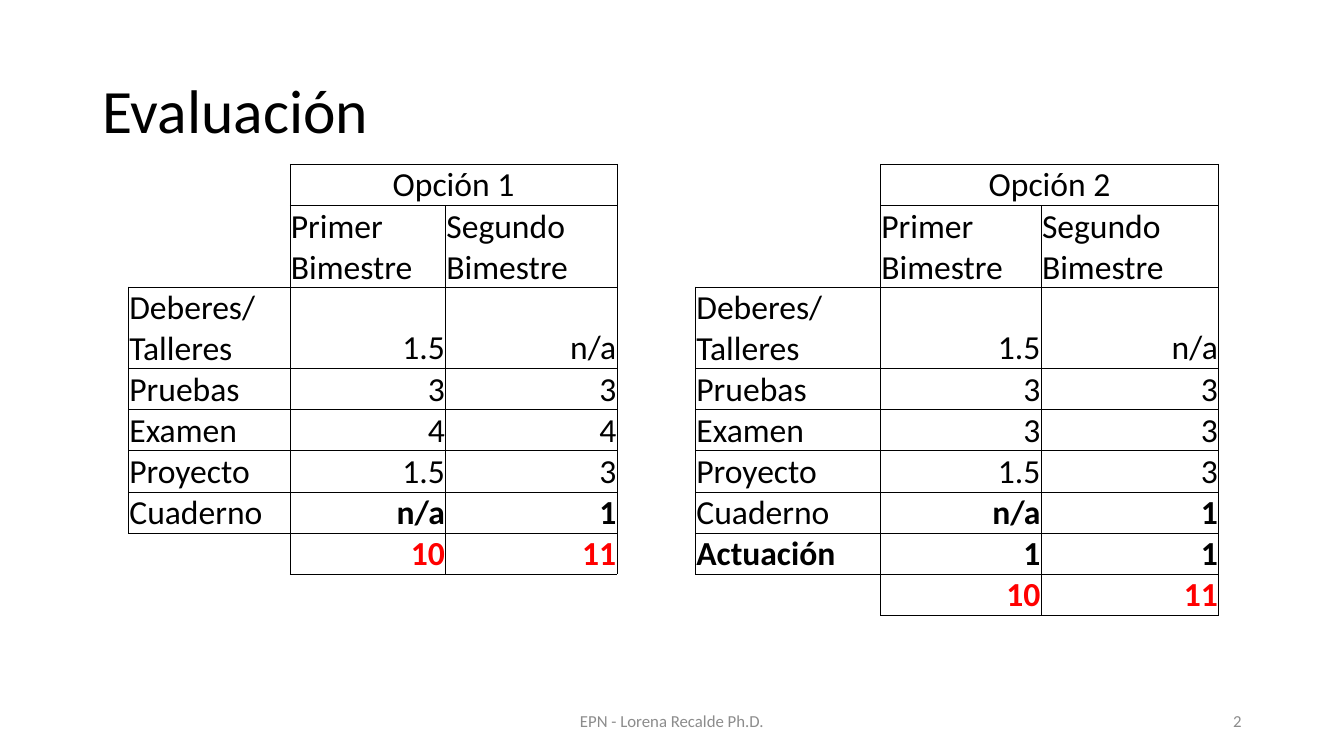
from lxml.etree import SubElement
from pptx import Presentation
from pptx.dml.color import RGBColor
from pptx.enum.text import MSO_ANCHOR, PP_ALIGN
from pptx.oxml.ns import qn
from pptx.util import Cm, Pt

FONT = "Calibri"
BLACK = RGBColor(0x00, 0x00, 0x00)
RED = RGBColor(0xFF, 0x00, 0x00)
GRAY = RGBColor(0x8C, 0x8C, 0x8C)

# text, left, top, width, height (cm), size, colour, alignment, line spacing
TEXTS = [
    ("Evaluación", 2.33, 1.01, 29.21, 3.68, 44, BLACK, PP_ALIGN.LEFT, 0.9),
    ("EPN - Lorena Recalde Ph.D.", 11.22, 17.65, 11.43, 1.01, 12, GRAY, PP_ALIGN.CENTER, 1.0),
    ("2", 23.92, 17.65, 7.62, 1.01, 12, GRAY, PP_ALIGN.RIGHT, 1.0),
]
HOMEWORK = "Deberes/\nTalleres"
TERMS = ["", "Primer Bimestre", "Segundo Bimestre"]
OPTION_1 = [
    ["", "Opción 1", ""],
    TERMS,
    [HOMEWORK, "1.5", "n/a"],
    ["Pruebas", "3", "3"],
    ["Examen", "4", "4"],
    ["Proyecto", "1.5", "3"],
    ["Cuaderno", "n/a", "1"],
    ["", "10", "11"],
    ["", "", ""],
]
OPTION_2 = [
    ["", "Opción 2", ""],
    TERMS,
    [HOMEWORK, "1.5", "n/a"],
    ["Pruebas", "3", "3"],
    ["Examen", "3", "3"],
    ["Proyecto", "1.5", "3"],
    ["Cuaderno", "n/a", "1"],
    ["Actuación", "1", "1"],
    ["", "10", "11"],
]
ROWS = [first + [""] + second for first, second in zip(OPTION_1, OPTION_2)]
COL_WIDTHS = [4.07, 3.92, 4.32, 1.98, 4.66, 4.05, 4.47]
ROW_HEIGHT = 0.94
TABLE_LEFT, TABLE_TOP = 3.24, 4.14
LABEL_COLS = (0, 4)
TITLE_SPANS = [(1, 2), (5, 6)]
FIRST_BOLD_ROW = 6
TOTALS = ("10", "11")
SIDES = {"a:lnL": (0, -1), "a:lnR": (0, 1), "a:lnT": (-1, 0), "a:lnB": (1, 0)}


def format_paragraph(p, size, color, align, bold=False):
    p.alignment = align
    for font in [p.font] + [r.font for r in p.runs]:
        font.name, font.size, font.bold = FONT, Pt(size), bold
        font.color.rgb = color


def is_filled(row, col):
    """Tell whether a grid position holds text or belongs to a merged title."""
    if not (0 <= row < len(ROWS) and 0 <= col < len(COL_WIDTHS)):
        return False
    in_title = row == 0 and any(a <= col <= b for a, b in TITLE_SPANS)
    return in_title or bool(ROWS[row][col])


def set_borders(cell, row, col):
    """Draw each side that touches a filled cell and clear the others."""
    tc_pr = cell._tc.get_or_add_tcPr()
    for tag, (d_row, d_col) in SIDES.items():
        ln = SubElement(tc_pr, qn(tag), w=str(Pt(0.5)))
        if is_filled(row, col) or is_filled(row + d_row, col + d_col):
            fill = SubElement(ln, qn("a:solidFill"))
            SubElement(fill, qn("a:srgbClr"), val=str(BLACK))
        else:
            SubElement(ln, qn("a:noFill"))


def add_text(s, text, left, top, width, height, size, color, align, spacing):
    tf = s.shapes.add_textbox(Cm(left), Cm(top), Cm(width), Cm(height)).text_frame
    tf.word_wrap = True
    tf.vertical_anchor = MSO_ANCHOR.MIDDLE
    tf.text = text
    tf.paragraphs[0].line_spacing = spacing
    format_paragraph(tf.paragraphs[0], size, color, align)


def fill_cell(cell, row, col):
    text = ROWS[row][col]
    is_value = row > 1 and col not in LABEL_COLS
    if row == 0:
        align = PP_ALIGN.CENTER
    else:
        align = PP_ALIGN.RIGHT if is_value else PP_ALIGN.LEFT
    bold = text == "Actuación" or (is_value and row >= FIRST_BOLD_ROW)
    cell.text_frame.text = text
    for p in cell.text_frame.paragraphs:
        format_paragraph(p, 24, RED if text in TOTALS else BLACK, align, bold)
    cell.vertical_anchor = MSO_ANCHOR.BOTTOM
    cell.margin_left = cell.margin_right = cell.margin_top = Cm(0.02)
    cell.margin_bottom = 0
    set_borders(cell, row, col)
    cell.fill.background()


def add_grades(s):
    table = s.shapes.add_table(
        len(ROWS), len(COL_WIDTHS), Cm(TABLE_LEFT), Cm(TABLE_TOP),
        Cm(sum(COL_WIDTHS)), Cm(ROW_HEIGHT * len(ROWS))).table
    table.first_row = table.horz_banding = False
    for column, width in zip(table.columns, COL_WIDTHS):
        column.width = Cm(width)
    for row, table_row in enumerate(table.rows):
        table_row.height = Cm(ROW_HEIGHT)
        for col, cell in enumerate(table_row.cells):
            fill_cell(cell, row, col)
    for start, end in TITLE_SPANS:
        table.cell(0, start).merge(table.cell(0, end))


def main():
    prs = Presentation()
    prs.slide_width, prs.slide_height = Cm(33.87), Cm(19.05)
    s = prs.slides.add_slide(prs.slide_layouts[6])
    for item in TEXTS:
        add_text(s, *item)
    add_grades(s)
    prs.save("out.pptx")


if __name__ == "__main__":
    main()
